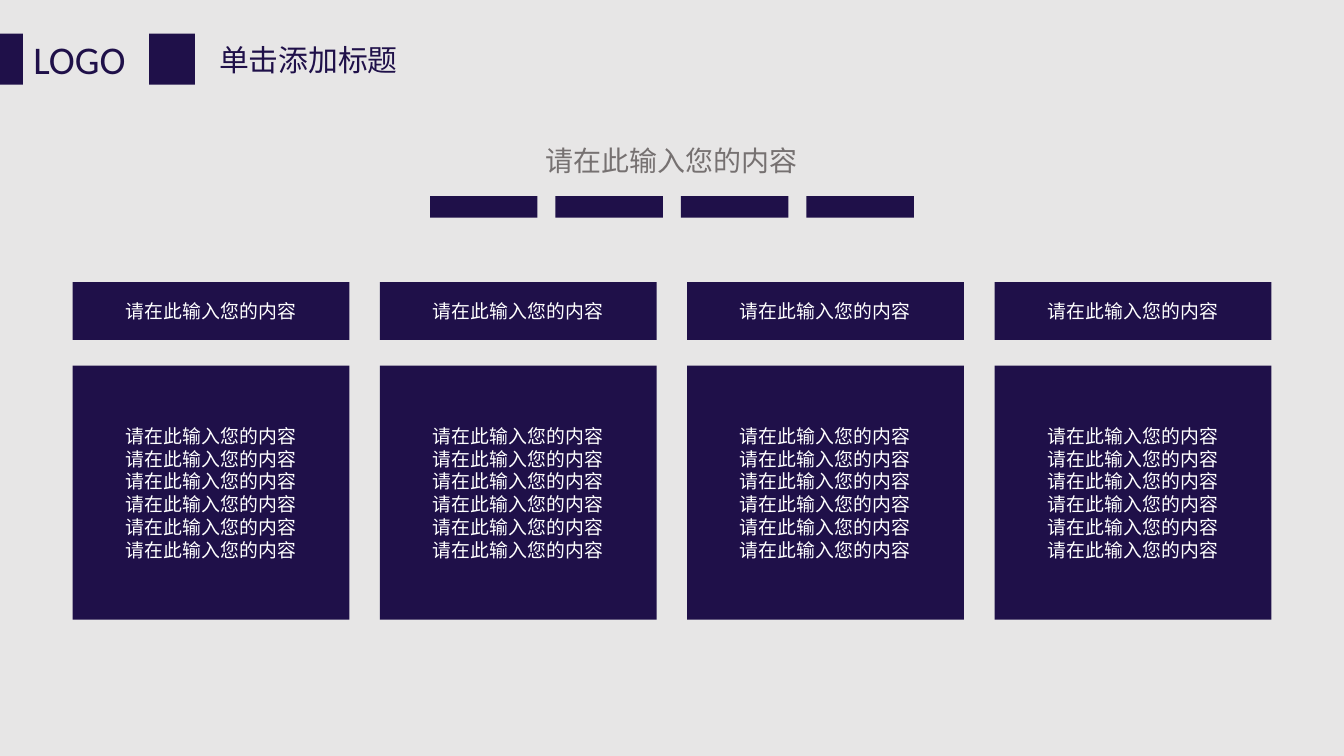
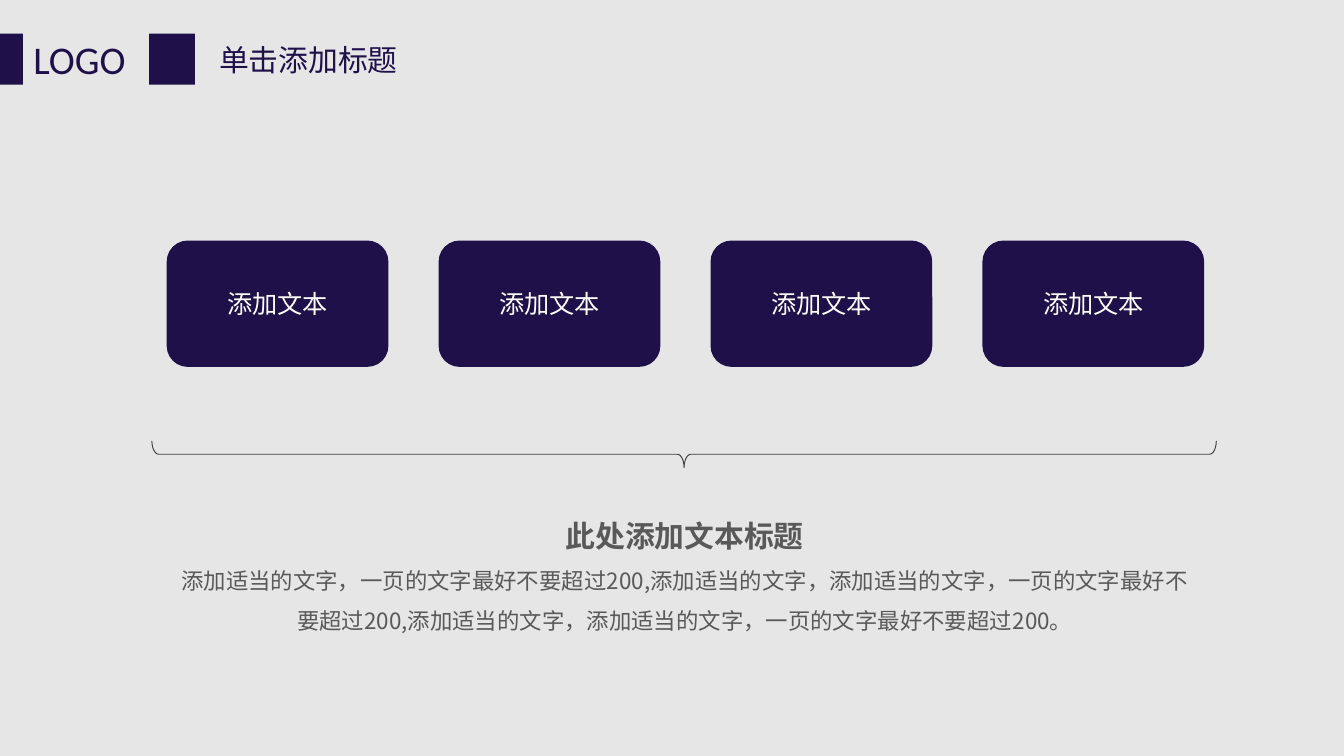
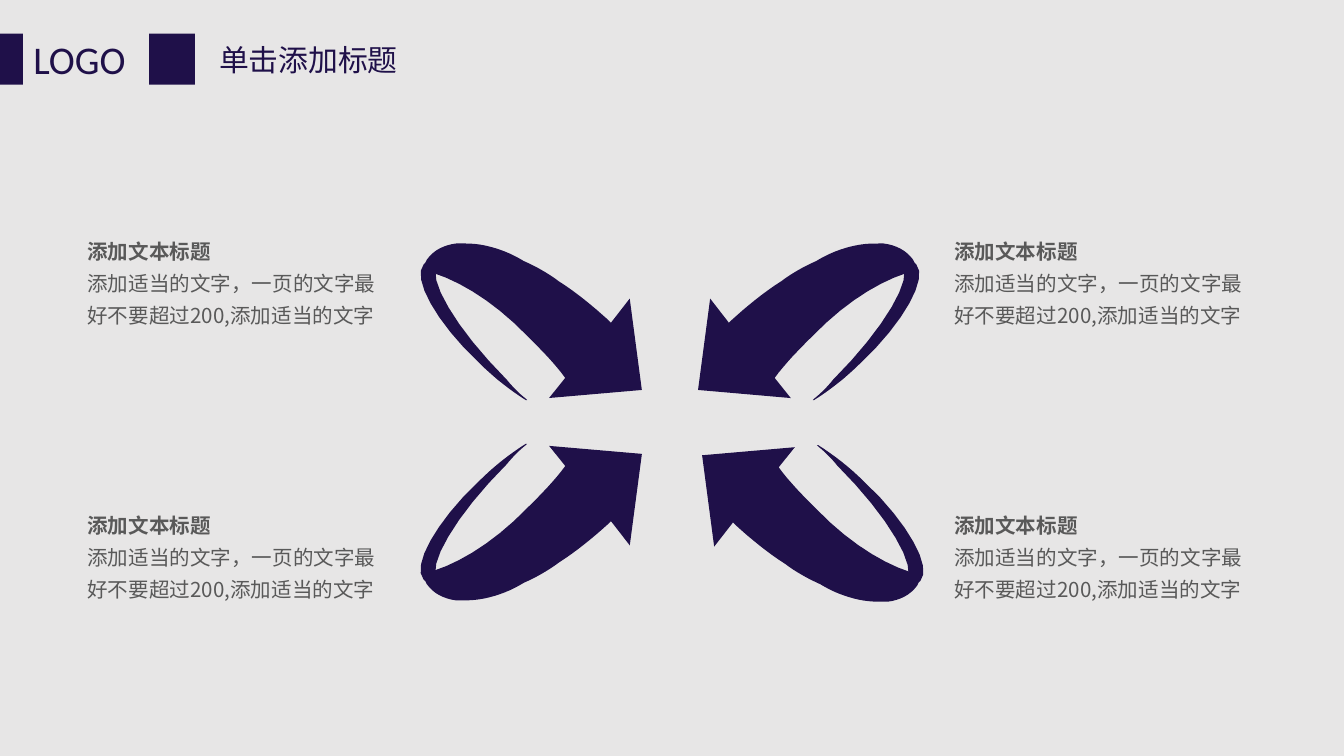
import math

from lxml import etree
from pptx import Presentation
from pptx.dml.color import RGBColor
from pptx.enum import shapes, text
from pptx.oxml import ns
from pptx.util import Inches, Pt

NAVY = RGBColor(0x1F, 0x10, 0x49)
PAPER = RGBColor(0xE7, 0xE6, 0xE6)
WHITE = RGBColor(0xFF, 0xFF, 0xFF)
MUTED = RGBColor(0x76, 0x71, 0x71)
BODY = RGBColor(0x59, 0x59, 0x59)
BRACE = RGBColor(0x40, 0x40, 0x40)
CJK = "Noto Sans CJK SC"

LOGO_STYLE = {"name": "Calibri", "size": Pt(21), "color": NAVY}
TITLE_STYLE = {"name": "Calibri", "size": Pt(16), "color": NAVY}
LEAD_STYLE = {"name": "Roboto", "size": Pt(15), "color": MUTED}
PANEL_STYLE = {"name": "Roboto", "size": Pt(10.13), "color": WHITE}
CARD_STYLE = {"name": CJK, "size": Pt(13.5), "color": WHITE}
SUMMARY_HEAD = {"name": CJK, "size": Pt(16), "color": BODY, "bold": True}
SUMMARY_BODY = {"name": CJK, "size": Pt(12), "color": BODY, "bold": False}
NOTE_HEAD = {"name": CJK, "size": Pt(11), "color": BODY, "bold": True}
NOTE_BODY = {"name": CJK, "size": Pt(11), "color": BODY, "bold": False}

LEFT, CENTER = text.PP_ALIGN.LEFT, text.PP_ALIGN.CENTER
RECT = shapes.MSO_SHAPE.RECTANGLE
PROMPT = "请在此输入您的内容"
ADVICE = "添加适当的文字，一页的文字最好不要超过200"

# Outlines of the upper left arrow: pairs are line ends, sixes are curves
TAIL = [
    (3.24, 1.94), (3.25, 1.94, 3.26, 1.94, 3.27, 1.95), (3.3, 1.95), (3.29, 1.95),
    (3.28, 1.96, 3.28, 1.96, 3.27, 1.97), (3.17, 2.06, 3.4, 2.45, 3.78, 2.83),
    (3.82, 2.88, 3.87, 2.93, 3.92, 2.97), (3.93, 2.98), (3.92, 2.98),
    (3.81, 2.91, 3.69, 2.82, 3.57, 2.7), (3.25, 2.4, 3.07, 2.07, 3.16, 1.97),
    (3.18, 1.95, 3.21, 1.94, 3.24, 1.94)]
HEAD = [
    (3.46, 1.81), (3.55, 1.81, 3.65, 1.83, 3.75, 1.87),
    (3.8, 1.89, 3.84, 1.91, 3.89, 1.94), (3.98, 1.98, 4.07, 2.03, 4.15, 2.09),
    (4.29, 2.18, 4.41, 2.28, 4.52, 2.38), (4.54, 2.4), (4.68, 2.22), (4.77, 2.9),
    (4.08, 2.96), (4.2, 2.81), (4.12, 2.7, 4.02, 2.6, 3.92, 2.5),
    (3.65, 2.22, 3.35, 2.05, 3.14, 2.01), (3.14, 2),
    (3.15, 1.97, 3.16, 1.95, 3.17, 1.93),
    (3.22, 1.86, 3.3, 1.82, 3.39, 1.81), (3.42, 1.81, 3.44, 1.81, 3.46, 1.81)]
# Outline, centre of its frame, turn in degrees
ARROW_PARTS = [(TAIL, (3.56, 2.46), 43.6), (HEAD, (4.02, 2.34), 33.3)]


def inches(box):
    return [Inches(value) for value in box]


def write(frame, lines, align=LEFT, spacing=None):
    """Fill a text frame with (words, style) paragraphs."""
    frame.word_wrap = True
    for index, (words, style) in enumerate(lines):
        para = frame.add_paragraph() if index else frame.paragraphs[0]
        para.alignment = align
        if spacing:
            para.line_spacing = spacing
        span = para.add_run()
        span.text = words
        for key, value in style.items():
            if key == "color":
                span.font.color.rgb = value
            else:
                setattr(span.font, key, value)
        east_asian = etree.SubElement(span.font._element, ns.qn("a:ea"))
        east_asian.set("typeface", CJK)


def paint(shape, fill=NAVY):
    shape.shadow.inherit = False
    shape.fill.solid()
    shape.fill.fore_color.rgb = fill
    shape.line.fill.background()


def add_block(page, box, lines=(), kind=RECT):
    block = page.shapes.add_shape(kind, *inches(box))
    paint(block)
    block.text_frame.vertical_anchor = text.MSO_ANCHOR.MIDDLE
    write(block.text_frame, lines, CENTER)


def add_text(page, box, lines, align=LEFT, spacing=None, margins=None):
    frame = page.shapes.add_textbox(*inches(box)).text_frame
    if margins:
        frame.margin_left = frame.margin_right = Inches(margins[0])
        frame.margin_top = frame.margin_bottom = Inches(margins[1])
    write(frame, lines, align, spacing)
    frame.auto_size = text.MSO_AUTO_SIZE.SHAPE_TO_FIT_TEXT


def add_row(page, box, width, lines=(), kind=RECT, count=4):
    """Spread equal blocks over the whole width of a box."""
    left, top, total, height = box
    step = (total - width) / (count - 1)
    for index in range(count):
        add_block(page, (left + index * step, top, width, height), lines, kind)


def new_page(deck):
    """Page with the shared header: logo word, two bars and title."""
    page = deck.slides.add_slide(deck.slide_layouts[5])
    add_text(page, (0.15, 0.21, 1.01, 0.45), [("LOGO", LOGO_STYLE)])
    for left, width in ((0, 0.17), (1.11, 0.34)):
        add_block(page, (left, 0.25, width, 0.38))
    title = page.shapes.title
    title.left, title.top, title.width, title.height = inches((1.53, 0.26, 2.16, 0.37))
    title.text_frame.vertical_anchor = text.MSO_ANCHOR.TOP
    write(title.text_frame, [("单击添加标题", TITLE_STYLE)])
    title.text_frame.auto_size = text.MSO_AUTO_SIZE.SHAPE_TO_FIT_TEXT
    return page


def fill_columns(page, box):
    """Four headed panels."""
    left, top, width, height = box
    line = (PROMPT, PANEL_STYLE)
    add_row(page, (left, top, width, 0.43), 2.06, [line])
    add_row(page, (left, top + 0.62, width, height - 0.62), 2.06, [line] * 6)


def add_lead(page, box):
    """Lead line over four small bars."""
    left, top, width, height = box
    add_row(page, (left, top + height - 0.16, width, 0.16), 0.8)
    add_text(page, (left, top, width, 0.35), [(PROMPT, LEAD_STYLE)], CENTER)


def add_brace(page, box):
    """Brace that opens upwards: a left brace turned about its centre."""
    left, top, width, height = box
    upright = (left + (width - height) / 2, top + (height - width) / 2, height, width)
    brace = page.shapes.add_shape(shapes.MSO_SHAPE.LEFT_BRACE, *inches(upright))
    brace.rotation = 270
    brace.adjustments[0] = 0.25
    brace.shadow.inherit = False
    brace.fill.background()
    brace.line.color.rgb = BRACE
    brace.line.width = Pt(0.5)


def add_summary(page, box):
    body = f"{ADVICE},添加适当的文字，{ADVICE},添加适当的文字，{ADVICE}。"
    add_text(page, box, [("此处添加文本标题", SUMMARY_HEAD), (body, SUMMARY_BODY)],
             CENTER, 1.5, (0.07, 0.04))


def flatten(outline, steps=8):
    """Turn lines and cubic curves into a list of points."""
    points = [outline[0]]
    for part in outline[1:]:
        if len(part) == 2:
            points.append(part)
            continue
        start, ends = points[-1], (part[:2], part[2:4], part[4:])
        for step in range(1, steps + 1):
            t = step / steps
            weights = ((1 - t) ** 3, 3 * t * (1 - t) ** 2, 3 * t * t * (1 - t), t ** 3)
            points.append(tuple(
                sum(w * point[axis] for w, point in zip(weights, (start, *ends)))
                for axis in (0, 1)))
    return points


def add_arrow(page, mirror_x=None, mirror_y=None):
    """Looped arrow, mirrored by taking coordinates from the given sums."""
    def flip(x, y):
        return (mirror_x - x if mirror_x else x, mirror_y - y if mirror_y else y)

    sign = -1 if bool(mirror_x) != bool(mirror_y) else 1
    for outline, centre, turn in ARROW_PARTS:
        middle_x, middle_y = flip(*centre)
        angle = math.radians(-sign * turn)
        cos, sin = math.cos(angle), math.sin(angle)
        points = []
        for x, y in flatten(outline):
            x, y = flip(x, y)
            dx, dy = x - middle_x, y - middle_y
            points.append((Inches(middle_x + dx * cos - dy * sin),
                           Inches(middle_y + dx * sin + dy * cos)))
        builder = page.shapes.build_freeform(*points[0])
        builder.add_line_segments(points[1:], close=True)
        arrow = builder.convert_to_shape()
        arrow.rotation = sign * turn % 360
        paint(arrow)


def add_note(page, box):
    body = f"{ADVICE},添加适当的文字"
    add_text(page, box, [("添加文本标题", NOTE_HEAD), (body, NOTE_BODY)],
             LEFT, 1.3, (0.07, 0.04))


# Widescreen deck, 16 to 9
deck = Presentation()
deck.slide_width = Inches(10)
deck.slide_height = Inches(10) * 9 // 16
backdrop = deck.slide_master.background.fill
backdrop.solid()
backdrop.fore_color.rgb = PAPER

# Slide 1: four columns
page = new_page(deck)
fill_columns(page, (0.54, 2.1, 8.92, 2.51))
add_lead(page, (3.2, 1.02, 3.6, 0.6))

# Slide 2: four cards gathered by a brace
page = new_page(deck)
add_brace(page, (1.13, 3.28, 7.92, 0.2))
add_row(page, (1.24, 1.79, 7.72, 0.94), 1.65, [("添加文本", CARD_STYLE)],
        shapes.MSO_SHAPE.ROUNDED_RECTANGLE)
add_summary(page, (1.21, 3.68, 7.77, 1.09))

# Slide 3: four arrows to the middle, a note beside each
page = new_page(deck)
for mirrors in ((None, None), (9.97, None), (10, 6.29), (None, 6.28)):
    add_arrow(page, *mirrors)
for left in (7.03, 0.58):
    for top in (1.68, 3.72):
        add_note(page, (left, top, 2.39, 0.8))

deck.save("out.pptx")
